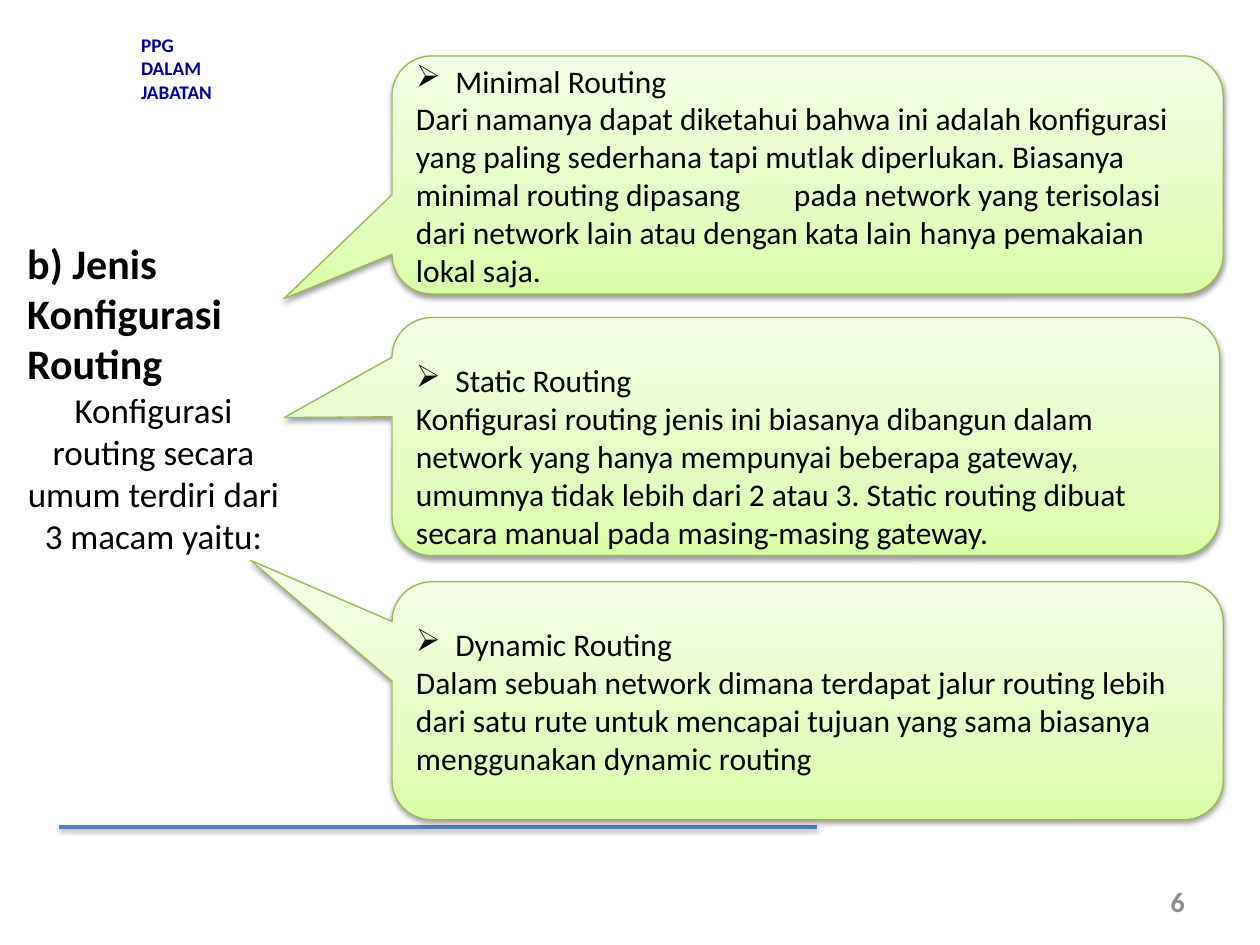
import copy

import lxml.etree
import pptx
import pptx.dml.color
import pptx.enum.shapes
import pptx.enum.text
import pptx.oxml.ns
import pptx.util

Pt = pptx.util.Pt
qn = pptx.oxml.ns.qn
ALIGN = pptx.enum.text.PP_ALIGN
MIDDLE = pptx.enum.text.MSO_ANCHOR.MIDDLE

GREEN = [(0, "DAFDA7"), (0.35, "E4FCC2"), (1, "F5FFE7")]
HANG = 22.5  # indent of the arrow bullets

# Each callout: left, top, width, height, tail x, tail y, lead space, head, body
CALLS = [
    (224, 32, 475, 136, -0.63, 0.52, 0, "Minimal Routing",
     "Dari namanya dapat diketahui bahwa ini adalah konfigurasi yang paling "
     "sederhana tapi mutlak diperlukan. Biasanya minimal routing dipasang "
     "\tpada network yang terisolasi dari network lain atau dengan kata lain "
     "\thanya pemakaian lokal saja."),
    (224, 181.5, 473, 136, -0.63, -0.08, 22, "Static Routing",
     "Konfigurasi routing jenis ini biasanya dibangun dalam network yang "
     "hanya mempunyai beberapa gateway, umumnya tidak lebih dari 2 atau 3. "
     "Static routing dibuat secara manual pada masing-masing gateway."),
    (224, 332.5, 475, 136, -0.67, -0.59, 0, "Dynamic Routing",
     "Dalam sebuah network dimana terdapat jalur routing lebih dari satu "
     "rute untuk mencapai tujuan yang sama biasanya menggunakan dynamic "
     "routing"),
]


def color(code):
    return pptx.dml.color.RGBColor.from_string(code)


def write(frame, text, size=18, bold=False, ink="000000", align=ALIGN.LEFT,
          bullet=None):
    """Add one paragraph, using the empty first one when there is one."""
    para = frame.paragraphs[0]
    if para.runs:
        para = frame.add_paragraph()
    para.alignment = align
    run = para.add_run()
    run.text = text
    font = run.font
    font.name, font.size, font.bold = "Calibri", Pt(size), bold
    font.color.rgb = color(ink)
    if bullet:
        props = para._p.get_or_add_pPr()
        props.set("marL", str(Pt(HANG)))
        props.set("indent", str(-Pt(HANG)))
        lxml.etree.SubElement(props, qn("a:buChar"), char=bullet)


def frame_in(slide, box, anchor=None):
    frame = slide.shapes.add_textbox(*map(Pt, box)).text_frame
    frame.word_wrap = True
    if anchor is not None:
        frame.vertical_anchor = anchor
    return frame


def shade(props):
    """Give shape properties a soft shadow that falls straight down."""
    make = lxml.etree.SubElement
    effect = props.find(qn("a:effectLst"))
    if effect is None:
        effect = make(props, qn("a:effectLst"))
    outer = make(effect, qn("a:outerShdw"), blurRad=str(Pt(3.1)),
                 dist=str(Pt(1.6)), dir="5400000", rotWithShape="0")
    black = make(outer, qn("a:srgbClr"), val="000000")
    make(black, qn("a:alpha"), val="38000")


def blend(fill, props):
    """Fill with the three green stops, darkest at the bottom."""
    fill.gradient()
    fill.gradient_angle = 90
    stops = props.find(qn("a:gradFill")).find(qn("a:gsLst"))
    stops.insert(1, copy.deepcopy(stops[0]))
    for stop, (place, code) in zip(fill.gradient_stops, GREEN):
        stop.position = place
        stop.color.rgb = color(code)


def callout(slide, box, tail, lead, head, body):
    kind = pptx.enum.shapes.MSO_SHAPE.ROUNDED_RECTANGULAR_CALLOUT
    shape = slide.shapes.add_shape(kind, *map(Pt, box))
    for spot, value in enumerate((*tail, 0.167)):
        shape.adjustments[spot] = value
    props = shape._element.spPr
    blend(shape.fill, props)
    shape.line.color.rgb = color("98B955")
    shape.line.width = Pt(0.75)
    shape.shadow.inherit = False
    shade(props)
    frame = shape.text_frame
    frame.word_wrap = True
    frame.vertical_anchor = MIDDLE
    frame.margin_top = Pt(3.6 + lead)
    write(frame, head, bullet="➢")
    write(frame, body)


def header(slide, box):
    write(frame_in(slide, box, MIDDLE), "PPG DALAM JABATAN",
          size=11, bold=True, ink="0000A2")


def footer(slide, box):
    left, top, width, height = box
    # Rule
    kind = pptx.enum.shapes.MSO_CONNECTOR.STRAIGHT
    rule = slide.shapes.add_connector(
        kind, Pt(left), Pt(top), Pt(left + 433), Pt(top))
    rule.line.color.rgb = color("4F81BD")
    rule.line.width = Pt(2)
    shade(rule._element.spPr)
    # Page number
    page = (left + width - 168, top + height - 29, 168, 29)
    write(frame_in(slide, page, MIDDLE), "6",
          size=16, bold=True, ink="8C8C8C", align=ALIGN.RIGHT)


def intro(slide, box):
    frame = frame_in(slide, box)
    write(frame, "b) Jenis Konfigurasi Routing", size=24, bold=True)
    write(frame, "Konfigurasi routing secara umum terdiri dari 3 macam yaitu:",
          size=20, align=ALIGN.CENTER)


def main():
    deck = pptx.Presentation()
    deck.slide_width, deck.slide_height = Pt(720), Pt(540)
    slide = deck.slides.add_slide(deck.slide_layouts[6])
    header(slide, (73.5, 16.5, 62, 45))
    footer(slide, (34, 472.5, 650, 57))
    for left, top, width, height, *tail, lead, head, body in CALLS:
        callout(slide, (left, top, width, height), tail, lead, head, body)
    intro(slide, (8.5, 132, 158.5, 191.5))
    deck.save("out.pptx")


if __name__ == "__main__":
    main()
